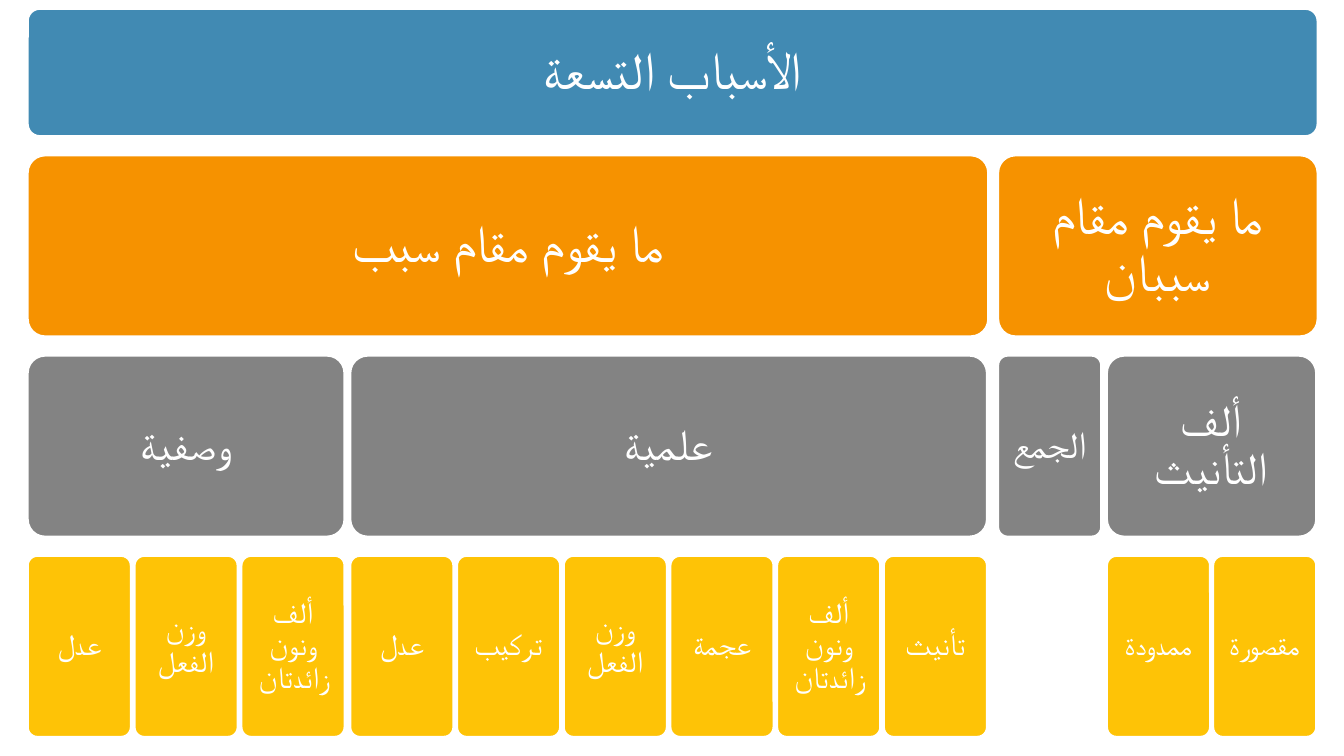
"""Build a four-level hierarchy slide of the nine grammatical causes."""
import pptx
import pptx.dml.color
import pptx.enum.shapes
import pptx.enum.text
import pptx.util
from lxml import etree
from pptx.oxml.ns import qn
from pptx.util import Inches

COLORS = {"blue": "418AB3", "orange": "F69200", "gray": "838383",
          "gold": "FEC306", "white": "FFFFFF"}


def color(name):
    return pptx.dml.color.RGBColor.from_string(COLORS[name])


def add_box(text, left, top, width, height, fill, size, inset):
    box = slide.shapes.add_shape(
        pptx.enum.shapes.MSO_SHAPE.ROUNDED_RECTANGLE,
        Inches(left), Inches(top), Inches(width), Inches(height))
    round_part = 0.1
    box.adjustments[0] = round_part
    box.shadow.inherit = False
    box.fill.solid()
    box.fill.fore_color.rgb = color(fill)
    box.line.color.rgb = color("white")
    box.line.width = pptx.util.Pt(2)
    frame = box.text_frame
    frame.text = text
    frame.word_wrap = True
    frame.vertical_anchor = pptx.enum.text.MSO_ANCHOR.MIDDLE
    corner = 0.29 * round_part * min(width, height)
    margin = Inches(inset - corner)
    frame.margin_left = frame.margin_right = margin
    frame.margin_top = frame.margin_bottom = margin
    para = frame.paragraphs[0]
    para.alignment = pptx.enum.text.PP_ALIGN.CENTER
    para.line_spacing = 0.9
    props = para._p.get_or_add_pPr()
    props.set("rtl", "1")
    after = etree.SubElement(props, qn("a:spcAft"))
    etree.SubElement(after, qn("a:spcPct")).set("val", "35000")
    font = para.runs[0].font
    font.name = "Calibri"
    font.size = pptx.util.Pt(size)
    font.color.rgb = color("white")


deck = pptx.Presentation()
deck.slide_width = Inches(10)
deck.slide_height = Inches(10 * 9 / 16)
slide = deck.slides.add_slide(deck.slide_layouts[6])

height = 1.36
tops = [1.15, 2.64, 4.13]
leaf_width = 0.78

add_box("الأسباب التسعة", 0.2, 0.06, 9.61, 0.96, "blue", 28, 0.14)

causes = [("ما يقوم مقام سببان", 7.42, 2.39), ("ما يقوم مقام سبب", 0.2, 7.16)]
for text, left, width in causes:
    add_box(text, left, tops[0], width, height, "orange", 28, 0.16)

groups = [
    ("ألف التأنيث", 8.23, 1.57, 24, 0.14, ["ممدودة", "مقصورة"]),
    ("الجمع", 7.42, 0.78, 20, 0.11, []),
    ("علمية", 2.6, 4.75, 24, 0.14,
     ["عدل", "تركيب", "وزن الفعل", "عجمة", "ألف ونون زائدتان", "تأنيث"]),
    ("وصفية", 0.2, 2.37, 24, 0.14, ["عدل", "وزن الفعل", "ألف ونون زائدتان"]),
]
for text, left, width, size, inset, leaves in groups:
    add_box(text, left, tops[1], width, height, "gray", size, inset)
    for index, leaf in enumerate(leaves):
        step = (width - leaf_width) / (len(leaves) - 1)
        add_box(leaf, left + index * step, tops[2], leaf_width, height,
                "gold", 16, 0.09)

deck.save("out.pptx")
